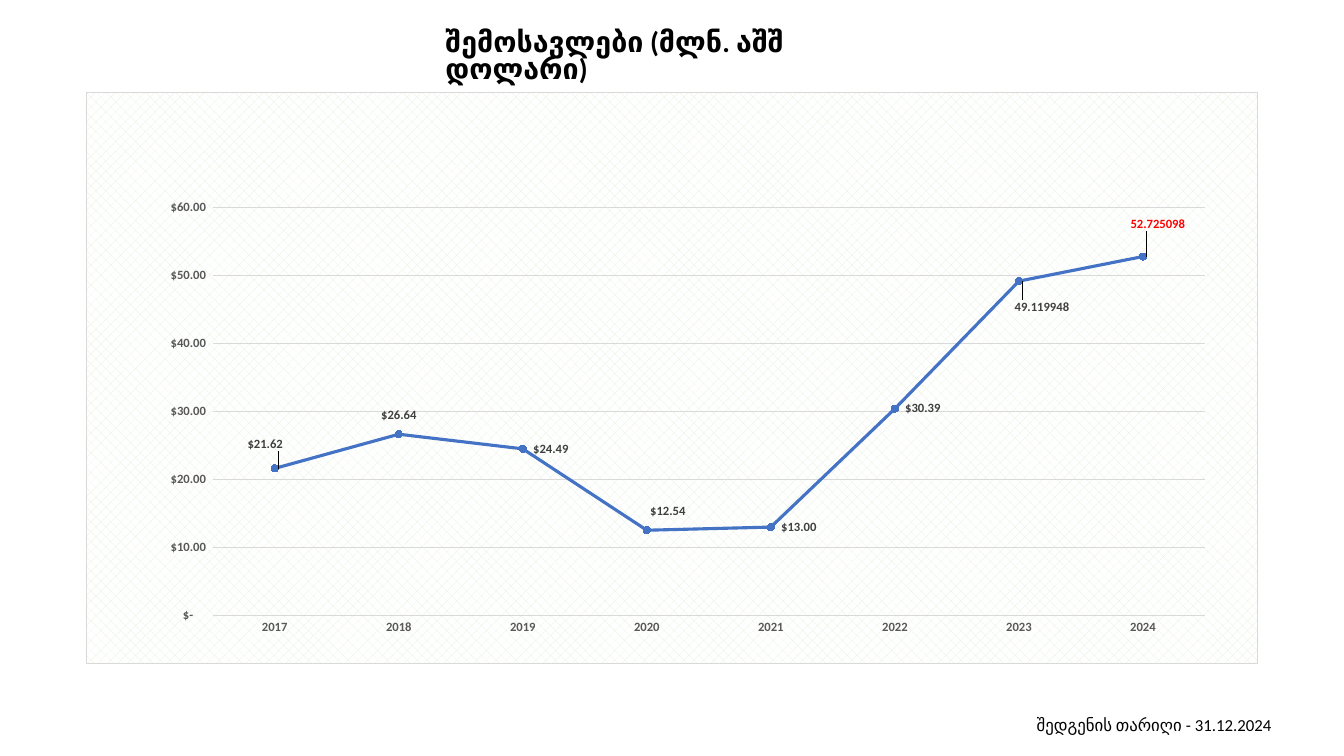
from lxml import etree
from pptx import Presentation
from pptx.chart.data import CategoryChartData
from pptx.dml.color import RGBColor
from pptx.enum.chart import XL_CHART_TYPE as CT, XL_LABEL_POSITION as POS
from pptx.enum.chart import XL_MARKER_STYLE as MS, XL_TICK_MARK as TM
from pptx.enum.text import MSO_ANCHOR as ANC, PP_ALIGN as AL
from pptx.oxml import parse_xml
from pptx.oxml.ns import nsdecls, qn
from pptx.util import Inches, Pt

FONT = "Calibri"
COLORS = {"text": "000000", "axis": "595959", "label": "404040", "latest": "FF0000",
          "rule": "D9D9D9", "line": "4472C4", "hatch": "E2F0D9", "paper": "FFFFFF"}
MONEY = '_("$"* #,##0.00_);_("$"* \\(#,##0.00\\);_("$"* "-"??_);_(@_)'
REVENUE = {"2017": 21.62, "2018": 26.64, "2019": 24.49, "2020": 12.54,
           "2021": 13.00, "2022": 30.39, "2023": 49.12, "2024": 52.73}
# Year: label position, shift as a share of the chart, fixed wording, colour
LABELS = {"2017": (POS.RIGHT, (-0.032, -0.042), None, "label"),
          "2018": (POS.ABOVE, (0, -0.008), None, "label"),
          "2020": (POS.RIGHT, (-0.006, -0.033), None, "label"),
          "2023": (POS.RIGHT, (-0.01, 0.045), "49.119948", "label"),
          "2024": (POS.RIGHT, (-0.017, -0.056), "52.725098", "latest")}


def rgb(name):
    return RGBColor.from_string(COLORS[name])


def set_font(font, size, color, bold=False):
    font.name, font.size, font.bold = FONT, Pt(size), bold
    font.color.rgb = rgb(color)


def set_line(line, color, width):
    line.color.rgb = rgb(color)
    line.width = Pt(width)


def add_text(s, box, text, size=12, bold=False, align=AL.LEFT, anchor=ANC.TOP, spacing=1.0):
    tf = s.shapes.add_textbox(*map(Inches, box)).text_frame
    tf.word_wrap = True
    tf.vertical_anchor = anchor
    p = tf.paragraphs[0]
    p.alignment, p.line_spacing = align, spacing
    r = p.add_run()
    r.text = text
    set_font(r.font, size, "text", bold)


def layout_xml(x, y, w=None, h=None):
    layout = parse_xml(f"<c:layout {nsdecls('c')}><c:manualLayout/></c:layout>")
    items = [("x", x), ("y", y)]
    if w:
        items = [("layoutTarget", "inner"), ("xMode", "edge"), ("yMode", "edge"),
                 *items, ("w", w), ("h", h)]
    for tag, val in items:
        etree.SubElement(layout[0], qn(f"c:{tag}")).set("val", str(val))
    return layout


def style_area(chart):
    # Hatched background with a thin border
    space = chart._chartSpace
    area = parse_xml(
        f'<c:spPr {nsdecls("c", "a")}><a:pattFill prst="pct30">'
        f'<a:fgClr><a:srgbClr val="{COLORS["hatch"]}"/></a:fgClr>'
        f'<a:bgClr><a:srgbClr val="{COLORS["paper"]}"/></a:bgClr></a:pattFill>'
        f'<a:ln w="{Pt(0.75)}"><a:solidFill><a:srgbClr val="{COLORS["rule"]}"/>'
        '</a:solidFill></a:ln></c:spPr>')
    space.find(qn("c:chart")).addnext(area)
    # Inner plot area
    plot_area = space.find(".//" + qn("c:plotArea"))
    for old in plot_area.findall(qn("c:layout")):
        plot_area.remove(old)
    plot_area.insert(0, layout_xml(0.108, 0.201, 0.847, 0.715))


def style_axes(chart):
    cat, val = chart.category_axis, chart.value_axis
    for axis in (cat, val):
        axis.major_tick_mark = axis.minor_tick_mark = TM.NONE
        set_font(axis.tick_labels.font, 9, "axis", True)
    set_line(cat.format.line, "rule", 0.75)
    val.format.line.fill.background()
    val.minimum_scale, val.maximum_scale, val.major_unit = 0, 60, 10
    set_line(val.major_gridlines.format.line, "rule", 0.75)
    val.tick_labels.number_format = MONEY
    val.tick_labels.number_format_is_linked = False


def hide_leader_lines(chart):
    labels = chart._chartSpace.find(".//" + qn("c:ser")).find(qn("c:dLbls"))
    for old in labels.findall(qn("c:showLeaderLines")):
        labels.remove(old)
    labels.append(parse_xml(
        f'<c:extLst {nsdecls("c")}><c:ext uri="{{CE6537A1-D6FC-4f65-9D91-7224C49458BB}}" '
        'xmlns:c15="http://schemas.microsoft.com/office/drawing/2012/chart">'
        '<c15:showLeaderLines val="0"/></c:ext></c:extLst>'))


def style_labels(chart, series):
    labels = series.data_labels
    labels.show_value = True
    labels.position = POS.RIGHT
    set_font(labels.font, 9, "label", True)
    years = list(REVENUE)
    for year, (position, shift, text, color) in LABELS.items():
        i = years.index(year)
        label = series.points[i].data_label
        if text:
            r = label.text_frame.paragraphs[0].add_run()
            r.text = text
            set_font(r.font, 9, color, True)
        else:
            set_font(label.font, 9, color, True)
        label.position = position
        idx = chart._chartSpace.xpath(f".//c:dLbl/c:idx[@val='{i}']")[0]
        idx.addnext(layout_xml(*shift))
    hide_leader_lines(chart)


def add_revenue_chart(s, box):
    data = CategoryChartData(number_format=MONEY)
    data.categories = list(REVENUE)
    data.add_series("Series 1", list(REVENUE.values()))
    chart = s.shapes.add_chart(CT.LINE_MARKERS_STACKED, *map(Inches, box), data).chart
    chart.has_legend = chart.has_title = False
    set_font(chart.font, 10, "text")
    style_area(chart)
    style_axes(chart)
    # Revenue line and its markers
    chart.plots[0].vary_by_categories = False
    series = chart.plots[0].series[0]
    series.smooth = False
    set_line(series.format.line, "line", 2.25)
    marker = series.marker
    marker.style, marker.size = MS.CIRCLE, 5
    marker.format.fill.solid()
    marker.format.fill.fore_color.rgb = rgb("line")
    set_line(marker.format.line, "line", 0.75)
    style_labels(chart, series)


def add_revenue_slide(prs):
    s = prs.slides.add_slide(prs.slide_layouts[6])
    # Date line
    add_text(s, (8.59, 7.08, 4.12, 0.26), "შედგენის თარიღი - 31.12.2024",
             align=AL.RIGHT, anchor=ANC.BOTTOM, spacing=0.9)
    # Title
    add_text(s, (4.32, 0.25, 4.69, 0.41), "შემოსავლები (მლნ. აშშ დოლარი)",
             size=20.4, bold=True, spacing=0.8)
    add_revenue_chart(s, (0.85, 0.91, 11.63, 5.68))


def main():
    prs = Presentation()
    prs.slide_width, prs.slide_height = Inches(13.33), Inches(7.5)
    add_revenue_slide(prs)
    prs.save("out.pptx")


if __name__ == "__main__":
    main()
